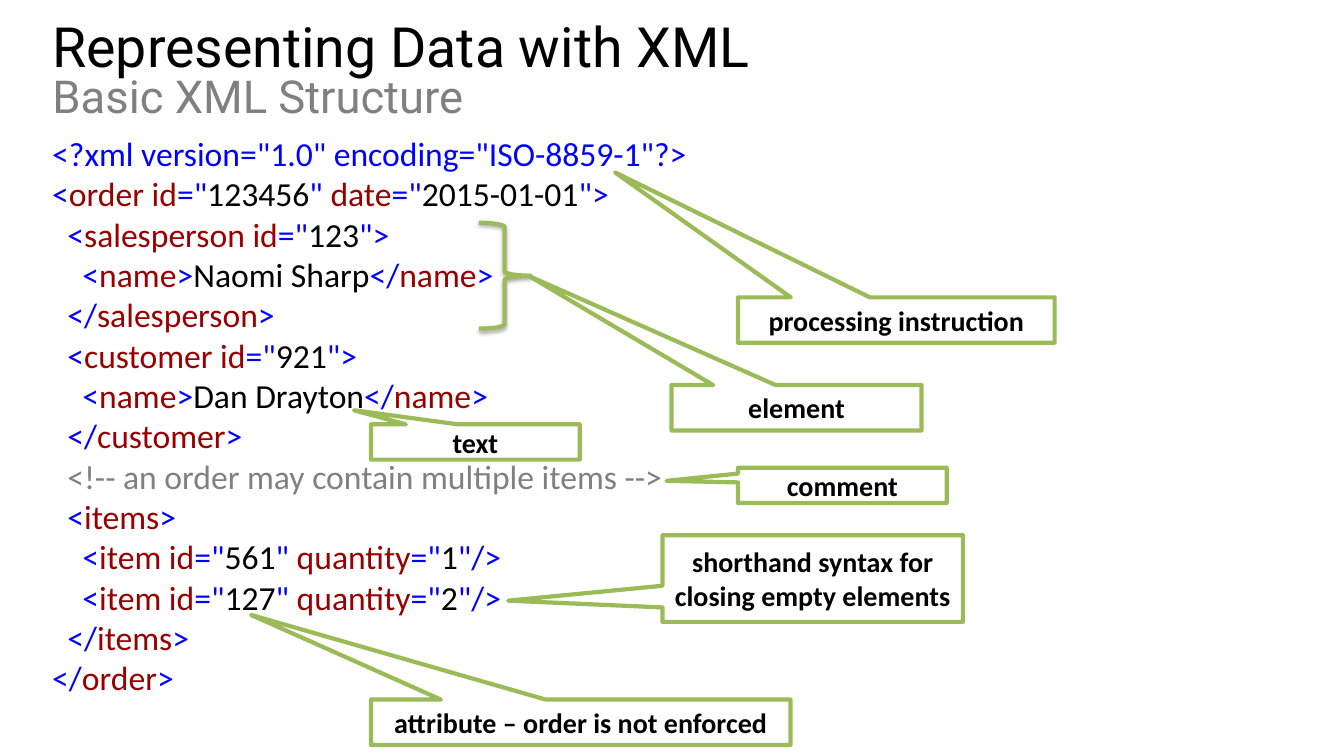
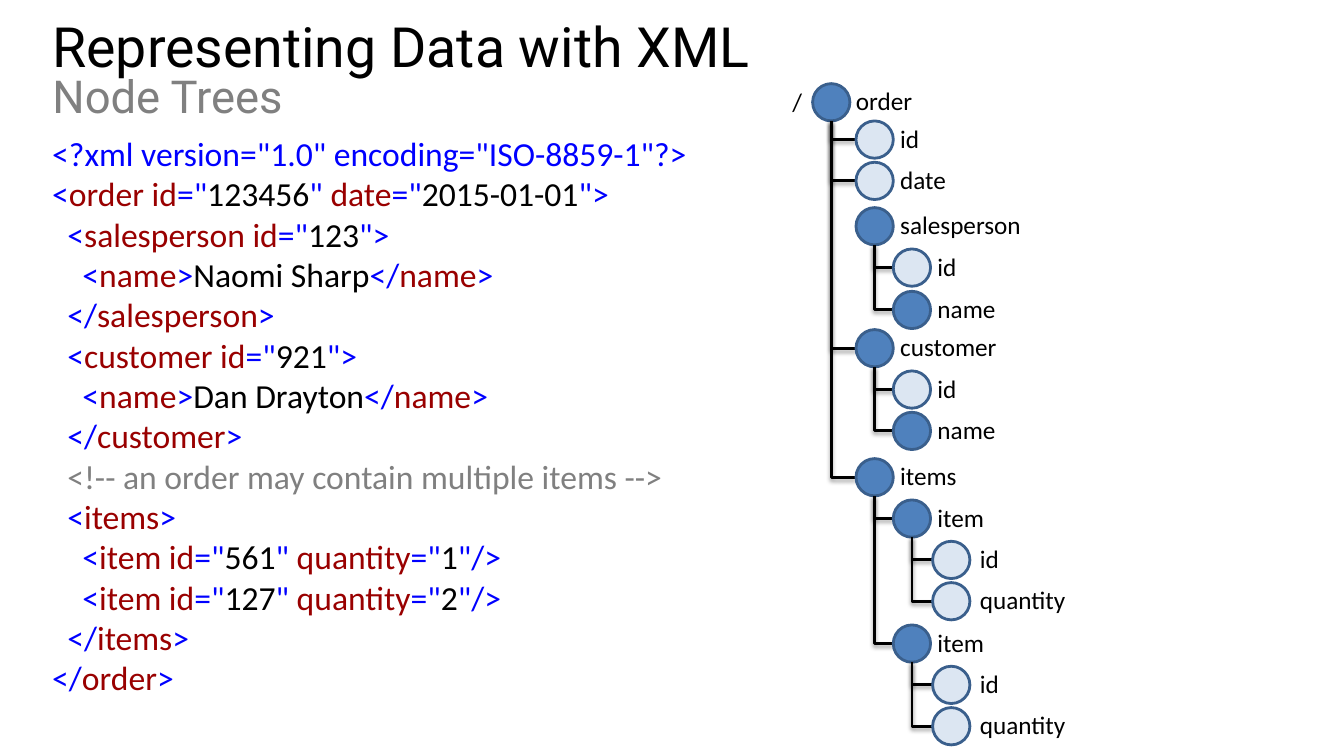
from itertools import groupby

from lxml import etree
from pptx import Presentation
from pptx import util as u
from pptx.dml.color import RGBColor
from pptx.enum import shapes, text
from pptx.oxml.ns import qn

EMU_PER_PX = 9144
BLACK, WHITE, GRAY = "000000", "FFFFFF", "808080"
MARKUP_BLUE, NAME_RED, CALLOUT_GREEN = "0000FF", "990000", "9BBB59"
ELEMENT_FILL, ATTRIBUTE_FILL, NODE_LINE = "4F81BD", "DCE6F2", "3A5F8C"
CODE_INDENT = 15
CIRCLE = 37

# Indent level and code of each line
ORDER_XML = [
    (0, '<?xml version="1.0" encoding="ISO-8859-1"?>'),
    (0, '<order id="123456" date="2015-01-01">'),
    (1, '<salesperson id="123">'),
    (2, '<name>Naomi Sharp</name>'),
    (1, '</salesperson>'),
    (1, '<customer id="921">'),
    (2, '<name>Dan Drayton</name>'),
    (1, '</customer>'),
    (1, '<!-- an order may contain multiple items -->'),
    (1, '<items>'),
    (2, '<item id="561" quantity="1"/>'),
    (2, '<item id="127" quantity="2"/>'),
    (1, '</items>'),
    (0, '</order>'),
]
WHOLE_LINE_COLORS = {"<?": MARKUP_BLUE, "<!": GRAY}

# Label, box (left, top, width, height) and tip of each callout
CALLOUTS = [
    ("processing instruction", (732, 295, 314, 45), (610, 171)),
    ("attribute – order is not enforced", (368, 694, 416, 45), (249, 610)),
    ("element", (666, 382, 248, 45), (525, 274)),
    ("text", (368, 421, 207, 35), (351, 407)),
    ("shorthand syntax for closing empty elements", (657, 531, 298, 86), (504, 596)),
    ("comment", (732, 464, 207, 35), (661, 477)),
]

# Circle and label left by depth; then depth, top and label of each node
NODE_X = (806, 849, 886, 925)
LABEL_X = (839, 883, 920, 962)
NODES = [
    (0, 83, "order"),
    (1, 120, "id"),
    (1, 161, "date"),
    (1, 206, "salesperson"),
    (2, 247, "id"),
    (2, 289, "name"),
    (1, 327, "customer"),
    (2, 368, "id"),
    (2, 409, "name"),
    (1, 455, "items"),
    (2, 496, "item"),
    (3, 537, "id"),
    (3, 578, "quantity"),
    (2, 620, "item"),
    (3, 661, "id"),
    (3, 702, "quantity"),
]
ATTRIBUTES = {"id", "date", "quantity"}
UNLINKED = {"salesperson"}


def px(*lengths):
    return [u.Emu(round(length * EMU_PER_PX)) for length in lengths]


def rgb(color):
    return RGBColor.from_string(color)


def add_run(paragraph, content, *, font="Calibri", size=18, color=BLACK, bold=False):
    run = paragraph.add_run()
    run.text = content
    run.font.name = font
    run.font.size = u.Pt(size)
    run.font.color.rgb = rgb(color)
    run.font.bold = bold


def set_line(shape, color, width):
    shape.line.color.rgb = rgb(color)
    shape.line.width = u.Pt(width)


def cast_shadow(shape, alpha, distance):
    """Give the shape a soft shadow straight below it; alpha in percent."""
    properties = shape._element.spPr
    effects = properties.find(qn("a:effectLst"))
    if effects is None:
        effects = etree.SubElement(properties, qn("a:effectLst"))
    shadow = etree.SubElement(
        effects, qn("a:outerShdw"), blurRad=str(u.Pt(3.1)),
        dist=str(u.Pt(distance)), dir="5400000", rotWithShape="0")
    tint = etree.SubElement(shadow, qn("a:srgbClr"), val=BLACK)
    etree.SubElement(tint, qn("a:alpha"), val=str(alpha * 1000))


def add_preset(slide, preset, box, *, line, width, fill=None):
    shape = slide.shapes.add_shape(preset, *px(*box))
    shape.shadow.inherit = False
    if fill:
        shape.fill.solid()
        shape.fill.fore_color.rgb = rgb(fill)
    else:
        shape.fill.background()
    set_line(shape, line, width)
    return shape


def prepare_layout(deck):
    """Place the shared title on the layout that both slides use."""
    layout = deck.slide_layouts[5]
    title = layout.placeholders[0]
    title.left, title.top, title.width, title.height = px(42, 20, 1260, 116)
    return layout


def set_title(slide, subtitle):
    frame = slide.shapes.title.text_frame
    frame.vertical_anchor = text.MSO_ANCHOR.TOP
    frame.auto_size = text.MSO_AUTO_SIZE.NONE
    paragraph = frame.paragraphs[0]
    paragraph.alignment = text.PP_ALIGN.LEFT
    paragraph.line_spacing = 0.8
    add_run(paragraph, "Representing Data with XML", font="Roboto", size=39.6)
    paragraph.add_line_break()
    add_run(paragraph, subtitle, font="Roboto", size=32.4, color=GRAY)


def syntax_colors(line):
    """Yield each character of a line of XML with its colour."""
    in_tag = in_quotes = False
    for char in line:
        if char in "<>":
            in_tag = char == "<"
        elif char == '"':
            in_quotes = not in_quotes
        if char in '<>"' or (in_tag and not in_quotes and char in "=/"):
            color = MARKUP_BLUE
        else:
            color = NAME_RED if in_tag and not in_quotes else BLACK
        yield char, WHOLE_LINE_COLORS.get(line[:2], color)


def add_code(slide):
    code = slide.shapes.add_textbox(*px(42, 127, 1254, 576))
    frame = code.text_frame
    frame.word_wrap = True
    for index, (level, line) in enumerate(ORDER_XML):
        paragraph = frame.add_paragraph() if index else frame.paragraphs[0]
        indent, = px(level * CODE_INDENT)
        paragraph._p.get_or_add_pPr().set("marL", str(indent))
        for color, chars in groupby(syntax_colors(line), key=lambda pair: pair[1]):
            add_run(paragraph, "".join(char for char, _ in chars), size=24, color=color)


def add_callout(slide, label, box, tip):
    callout = add_preset(slide, shapes.MSO_SHAPE.RECTANGULAR_CALLOUT, box,
                         line=CALLOUT_GREEN, width=3, fill=WHITE)
    for axis in (0, 1):
        start, size = box[axis], box[axis + 2]
        callout.adjustments[axis] = (tip[axis] - start - size / 2) / size
    frame = callout.text_frame
    frame.word_wrap = True
    frame.margin_left, frame.margin_right = px(5, 5)
    frame.vertical_anchor = text.MSO_ANCHOR.MIDDLE
    paragraph = frame.paragraphs[0]
    paragraph.alignment = text.PP_ALIGN.CENTER
    add_run(paragraph, label, size=20, bold=True)


def add_brace(slide):
    brace = add_preset(slide, shapes.MSO_SHAPE.RIGHT_BRACE, (475, 221, 51, 105),
                       line=CALLOUT_GREEN, width=3)
    cast_shadow(brace, 35, 1.8)


def add_label(slide, label, left, top):
    frame = slide.shapes.add_textbox(*px(left, top, 150, 40)).text_frame
    frame.word_wrap = True
    add_run(frame.paragraphs[0], label)


def add_link(slide, parent, child):
    """Join the bottom of the parent to the left of the child by one bend."""
    (parent_x, parent_y), (child_x, child_y) = parent, child
    link = slide.shapes.add_connector(
        shapes.MSO_CONNECTOR.ELBOW,
        *px(child_x, child_y + CIRCLE / 2, parent_x + CIRCLE / 2, parent_y + CIRCLE))
    link._element.spPr.find(qn("a:prstGeom")).set("prst", "bentConnector2")
    set_line(link, BLACK, 2)
    cast_shadow(link, 38, 1.6)


def add_tree(slide):
    add_label(slide, "/", 776, 81)
    latest = {}
    for depth, top, label in NODES:
        place = latest[depth] = (NODE_X[depth], top)
        if depth and label not in UNLINKED:
            add_link(slide, latest[depth - 1], place)
        add_preset(slide, shapes.MSO_SHAPE.OVAL, (*place, CIRCLE, CIRCLE),
                   line=NODE_LINE, width=2,
                   fill=ATTRIBUTE_FILL if label in ATTRIBUTES else ELEMENT_FILL)
        add_label(slide, label, LABEL_X[depth], top - 3)


def add_code_slide(deck, layout, subtitle):
    slide = deck.slides.add_slide(layout)
    set_title(slide, subtitle)
    add_code(slide)
    return slide


def main():
    deck = Presentation()
    deck.slide_width, deck.slide_height = px(1333, 750)
    layout = prepare_layout(deck)

    structure = add_code_slide(deck, layout, "Basic XML Structure")
    add_brace(structure)
    for label, box, tip in CALLOUTS:
        add_callout(structure, label, box, tip)

    add_tree(add_code_slide(deck, layout, "Node Trees"))
    deck.save("out.pptx")


if __name__ == "__main__":
    main()
